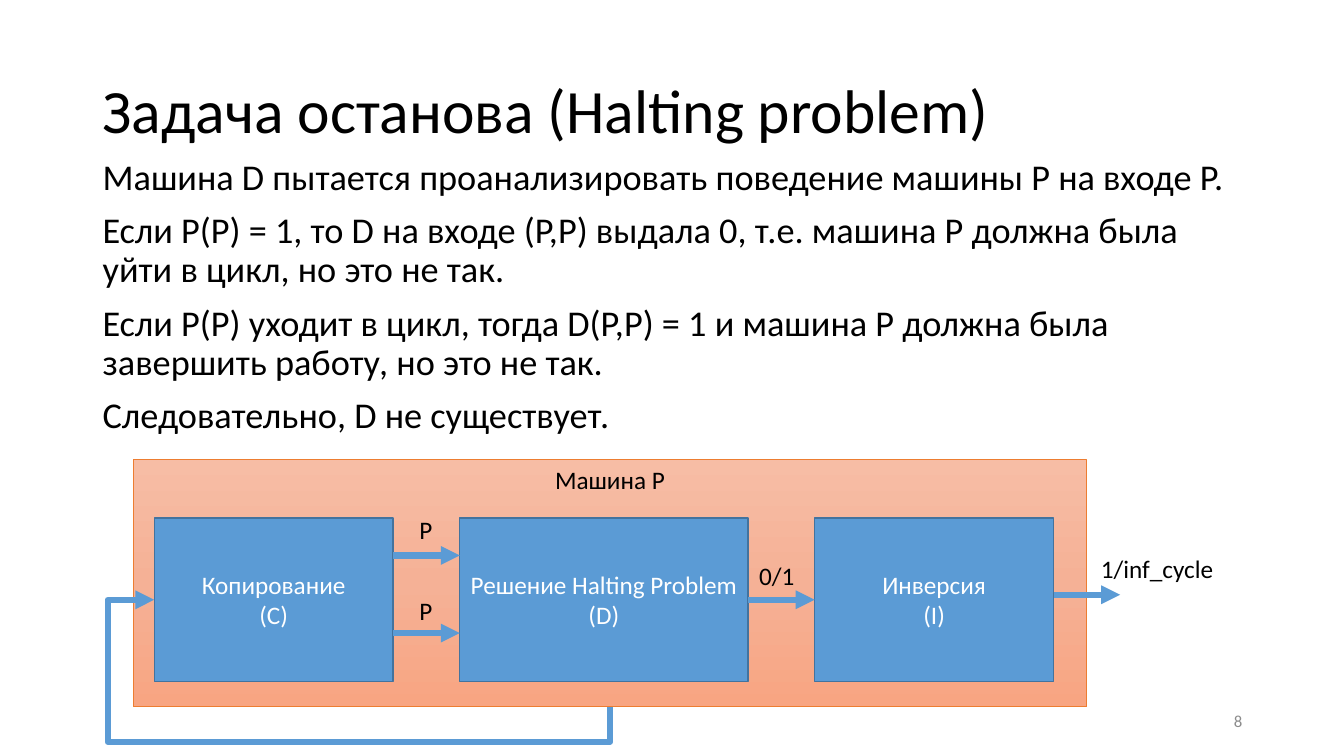
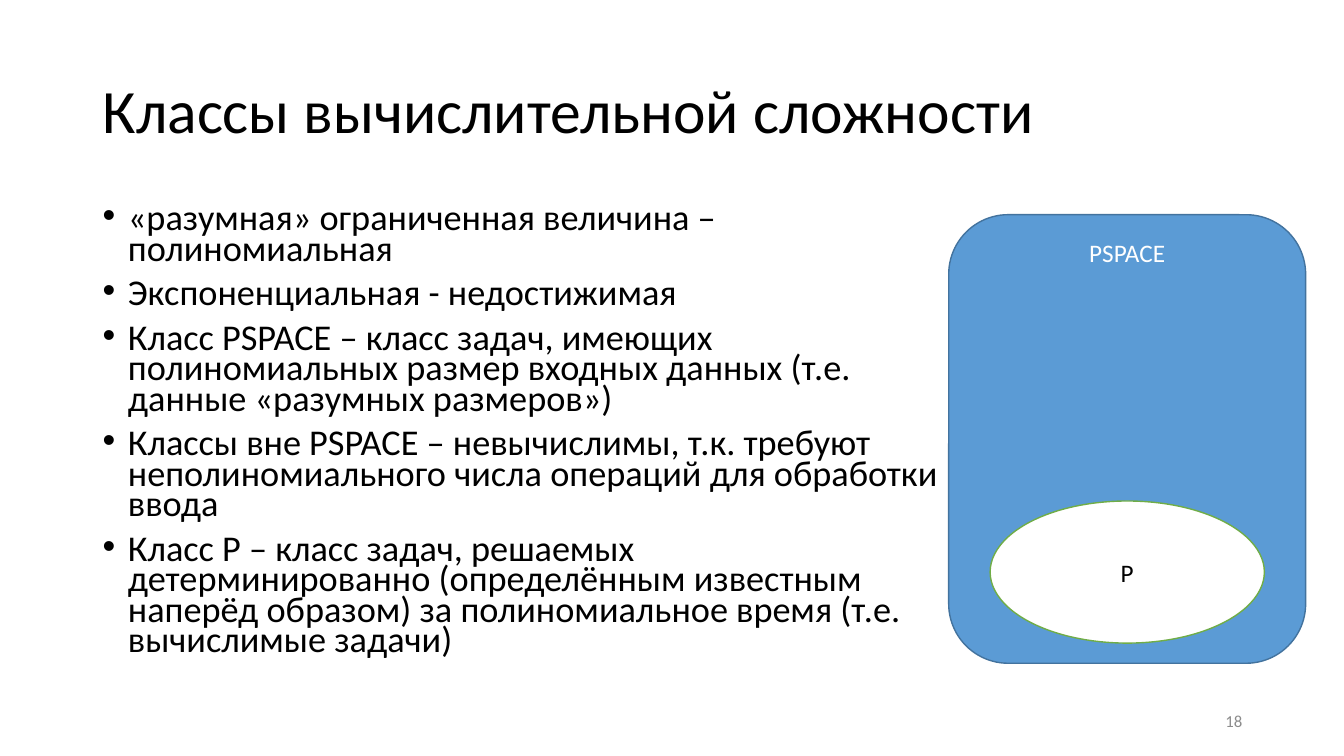
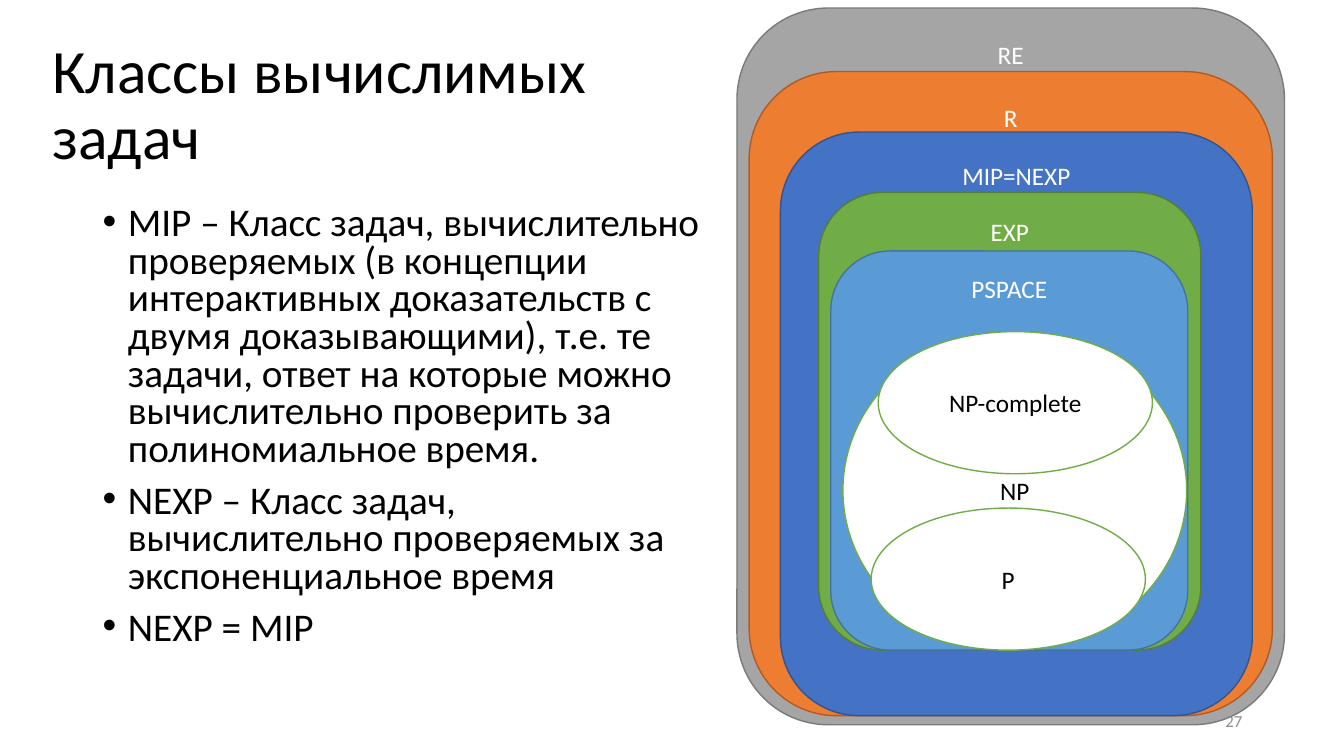
from copy import deepcopy

from pptx import Presentation
from pptx.dml.color import RGBColor
from pptx.enum.shapes import MSO_CONNECTOR, MSO_SHAPE
from pptx.enum.text import MSO_ANCHOR, PP_ALIGN
from pptx.oxml.ns import qn
from pptx.util import Inches, Pt

RECTANGLE, ROUNDED, ELLIPSE = MSO_SHAPE.RECTANGLE, MSO_SHAPE.ROUNDED_RECTANGLE, MSO_SHAPE.OVAL
STRAIGHT, ELBOW = MSO_CONNECTOR.STRAIGHT, MSO_CONNECTOR.ELBOW
LEFT, CENTER, RIGHT = PP_ALIGN.LEFT, PP_ALIGN.CENTER, PP_ALIGN.RIGHT
TOP, MIDDLE = MSO_ANCHOR.TOP, MSO_ANCHOR.MIDDLE

FONT = "Calibri"
BLACK, WHITE, NUMBER_GRAY = "000000", "FFFFFF", "8C8C8C"
BLUE, BLUE_EDGE = "5B9BD5", "43739E"
GREEN, GREEN_EDGE = "70AD47", "538035"
ORANGE, ORANGE_EDGE = "ED7D31", "AF5C24"
GRAY, GRAY_EDGE = "A5A5A5", "7A7A7A"
INDIGO, INDIGO_EDGE = "4472C4", "325491"
MACHINE_GRADIENT = [(0, "F7BDA5"), (0.5, "F5B196"), (1, "F8A582")]

WIDTH, HEIGHT = 13.33, 7.5
MARGIN = 0.92
CONTENT_WIDTH = 11.5
TITLE_BOX = (MARGIN, 0.4, CONTENT_WIDTH, 1.45)
NUMBER_BOX = (MARGIN + CONTENT_WIDTH - 3, 6.95, 3, 0.4)
BODY_TOP, BODY_HEIGHT = 2, 4.76
SMALL_ELLIPSE = (2.72, 1.41)


def color(value):
    return RGBColor.from_string(value)


def inches(*lengths):
    return [Inches(length) for length in lengths]


def write(shape, lines, size, text_color=BLACK, align=LEFT, anchor=TOP,
          spacing=None, before=0, bullet=False):
    frame = shape.text_frame
    frame.word_wrap = True
    frame.vertical_anchor = anchor
    for index, line in enumerate(lines):
        paragraph = frame.add_paragraph() if index else frame.paragraphs[0]
        paragraph.alignment = align
        if spacing:
            paragraph.line_spacing = spacing
        paragraph.space_before = Pt(before if index else 0)
        if bullet:
            add_bullet(paragraph)
        run = paragraph.add_run()
        run.text = line
        run.font.name = FONT
        run.font.size = Pt(size)
        run.font.color.rgb = color(text_color)


def add_bullet(paragraph):
    properties = paragraph._p.get_or_add_pPr()
    properties.set("marL", str(Inches(0.25)))
    properties.set("indent", str(-Inches(0.25)))
    font = properties.makeelement(qn("a:buFont"), {"typeface": "Arial"})
    character = properties.makeelement(qn("a:buChar"), {"char": "•"})
    properties.extend([font, character])


def add_title_slide(presentation, title, box=TITLE_BOX):
    slide = presentation.slides.add_slide(presentation.slide_layouts[5])
    placeholder = slide.shapes.title
    placeholder.left, placeholder.top, placeholder.width, placeholder.height = inches(*box)
    write(placeholder, [title], 44, anchor=MIDDLE, spacing=0.9)
    return slide


def add_text(slide, box, lines, size, **style):
    write(slide.shapes.add_textbox(*inches(*box)), lines, size, **style)


def add_number(slide, number):
    add_text(slide, NUMBER_BOX, [number], 12, text_color=NUMBER_GRAY, align=RIGHT, anchor=MIDDLE)


def add_box(slide, kind, box, lines, fill, edge, text_color=WHITE, anchor=TOP, edge_width=1):
    """Draw a filled, outlined shape; a list as fill gives gradient stops."""
    shape = slide.shapes.add_shape(kind, *inches(*box))
    shape.shadow.inherit = False
    if isinstance(fill, list):
        fill_gradient(shape, fill)
    else:
        shape.fill.solid()
        shape.fill.fore_color.rgb = color(fill)
    shape.line.color.rgb = color(edge)
    shape.line.width = Pt(edge_width)
    write(shape, lines, 18, text_color, CENTER, anchor)
    return shape


def fill_gradient(shape, stops):
    """Fill from top to bottom with three stops."""
    shape.fill.gradient()
    shape.fill.gradient_angle = 270
    stop_list = shape._element.spPr.find(".//" + qn("a:gsLst"))
    stop_list.insert(1, deepcopy(stop_list[0]))
    for stop, (position, value) in zip(shape.fill.gradient_stops, stops):
        stop.position = position
        stop.color.rgb = color(value)


def add_class(slide, box, name, fill, edge):
    add_box(slide, ROUNDED, box, [name], fill, edge)


def add_ellipse(slide, box, name):
    add_box(slide, ELLIPSE, box, [name], WHITE, GREEN, BLACK, MIDDLE)


def add_arrow(slide, start, end, kind=STRAIGHT):
    arrow = slide.shapes.add_connector(kind, *inches(*start, *end))
    arrow.line.color.rgb = color(BLUE)
    arrow.line.width = Pt(4.5)
    line = arrow.line._get_or_add_ln()
    line.append(line.makeelement(qn("a:tailEnd"), {"type": "triangle"}))
    properties = arrow._element.spPr
    properties.append(properties.makeelement(qn("a:effectLst"), {}))
    return arrow


def add_feedback_arrow(slide, start, end, low, far_left):
    """Run down to low, left to far_left, up, and right into the end point."""
    across, rise = start[0] - end[0], start[1] - end[1]
    left = (start[0] + end[0] - rise) / 2
    top = (start[1] + end[1] - across) / 2
    arrow = add_arrow(slide, (left, top), (left + rise, top + across), ELBOW)
    properties = arrow._element.spPr
    frame = properties.find(qn("a:xfrm"))
    frame.set("rot", "5400000")
    frame.set("flipH", "1")
    geometry = properties.find(qn("a:prstGeom"))
    geometry.set("prst", "bentConnector4")
    adjustments = geometry.find(qn("a:avLst"))
    shares = [(start[1] - low) / rise, (start[0] - far_left) / across]
    for index, share in enumerate(shares, 1):
        guide = {"name": f"adj{index}", "fmla": f"val {round(share * 100000)}"}
        adjustments.append(adjustments.makeelement(qn("a:gd"), guide))


def build_halting_slide(presentation):
    slide = add_title_slide(presentation, "Задача останова (Halting problem)")
    add_text(slide, (MARGIN, 1.53, CONTENT_WIDTH, 2.98), [
        "Машина D пытается проанализировать поведение машины P на входе P.",
        "Если P(P) = 1, то D на входе (P,P) выдала 0, т.е. машина P должна была уйти в цикл, "
        "но это не так.",
        "Если P(P) уходит в цикл, тогда D(P,P) = 1 и машина P должна была завершить работу, "
        "но это не так.",
        "Следовательно, D не существует.",
    ], 25.9, spacing=0.9, before=10)
    add_number(slide, "8")

    machine_left, machine_top, machine_width, machine_height = machine = (1.32, 4.56, 9.46, 2.45)
    add_box(slide, RECTANGLE, machine, ["Машина P"], MACHINE_GRADIENT, ORANGE, BLACK,
            edge_width=0.5)

    block_top, block_height, gap = 5.14, 1.62, 0.66
    first_left = left = 1.53
    blocks, right_edges = [], []
    for name, letter, width in [("Копирование", "(C)", 2.37),
                                ("Решение Halting Problem", "(D)", 2.86),
                                ("Инверсия", "(I)", 2.37)]:
        blocks.append(add_box(slide, RECTANGLE, (left, block_top, width, block_height),
                              [name, letter], BLUE, BLUE_EDGE, anchor=MIDDLE))
        right_edges.append(left + width)
        left += width + gap

    middle = block_top + block_height / 2
    copier_right, solver_right, inverter_right = right_edges
    for right, level in [(copier_right, 5.51), (copier_right, 6.28), (inverter_right, 5.9)]:
        add_arrow(slide, (right, level), (right + gap, level))
    answer = add_arrow(slide, (solver_right, middle), (solver_right + gap, middle))
    answer.begin_connect(blocks[1], 3)
    answer.end_connect(blocks[2], 1)
    add_feedback_arrow(slide, (machine_left + machine_width / 2, machine_top + machine_height),
                       (first_left, middle), low=7.36, far_left=1.07)

    for label, label_left, label_top, width in [("P", 4.06, 5.05, 0.35), ("P", 4.06, 5.86, 0.35),
                                                ("0/1", 7.43, 5.51, 0.65),
                                                ("1/inf_cycle", 10.82, 5.44, 1.33)]:
        add_text(slide, (label_left, label_top, width, 0.71), [label], 18)


def build_complexity_slide(presentation):
    slide = add_title_slide(presentation, "Классы вычислительной сложности")
    add_text(slide, (MARGIN, BODY_TOP, 8.49, BODY_HEIGHT), [
        "«разумная» ограниченная величина – полиномиальная",
        "Экспоненциальная - недостижимая",
        "Класс PSPACE – класс задач, имеющих полиномиальных размер входных данных "
        "(т.е. данные «разумных размеров»)",
        "Классы вне PSPACE – невычислимы, т.к. требуют неполиномиального числа операций "
        "для обработки ввода",
        "Класс P – класс задач, решаемых детерминированно (определённым известным наперёд "
        "образом) за полиномиальное время (т.е. вычислимые задачи)",
    ], 25.9, spacing=0.7, before=10, bullet=True)
    add_class(slide, (9.41, 2.13, 3.54, 4.45), "PSPACE", BLUE, BLUE_EDGE)
    add_ellipse(slide, (9.82, 4.97, *SMALL_ELLIPSE), "P")
    add_number(slide, "18")


def build_computable_slide(presentation):
    slide = add_title_slide(presentation, "Классы вычислимых задач", (0.42, 0.33, 7.01, 1.45))
    add_text(slide, (MARGIN, BODY_TOP, 6.28, BODY_HEIGHT), [
        "MIP – Класс задач, вычислительно проверяемых (в концепции интерактивных доказательств "
        "с двумя доказывающими), т.е. те задачи, ответ на которые можно вычислительно проверить "
        "за полиномиальное время.",
        "NEXP – Класс задач, вычислительно проверяемых за экспоненциальное время",
        "NEXP = MIP",
    ], 28, spacing=0.8, before=10, bullet=True)

    outer_classes = [
        ((7.31, 0.08, 5.43, 7.11), "RE", GRAY, GRAY_EDGE),
        ((7.43, 0.71, 5.19, 6.39), "R", ORANGE, ORANGE_EDGE),
    ]
    inner_classes = [
        ((7.74, 1.31, 4.68, 5.79), "MIP=NEXP", INDIGO, INDIGO_EDGE),
        ((8.12, 1.91, 3.79, 4.54), "EXP", GREEN, GREEN_EDGE),
        ((8.24, 2.49, 3.54, 3.96), "PSPACE", BLUE, BLUE_EDGE),
    ]
    for problem_class in outer_classes:
        add_class(slide, *problem_class)
    add_number(slide, "27")
    for problem_class in inner_classes:
        add_class(slide, *problem_class)

    add_ellipse(slide, (8.36, 3.29, 3.41, 3.15), "NP")
    add_ellipse(slide, (8.64, 5.04, *SMALL_ELLIPSE), "P")
    add_ellipse(slide, (8.71, 3.29, *SMALL_ELLIPSE), "NP-complete")


def main():
    presentation = Presentation()
    presentation.slide_width, presentation.slide_height = inches(WIDTH, HEIGHT)
    build_halting_slide(presentation)
    build_complexity_slide(presentation)
    build_computable_slide(presentation)
    presentation.save("out.pptx")


if __name__ == "__main__":
    main()
